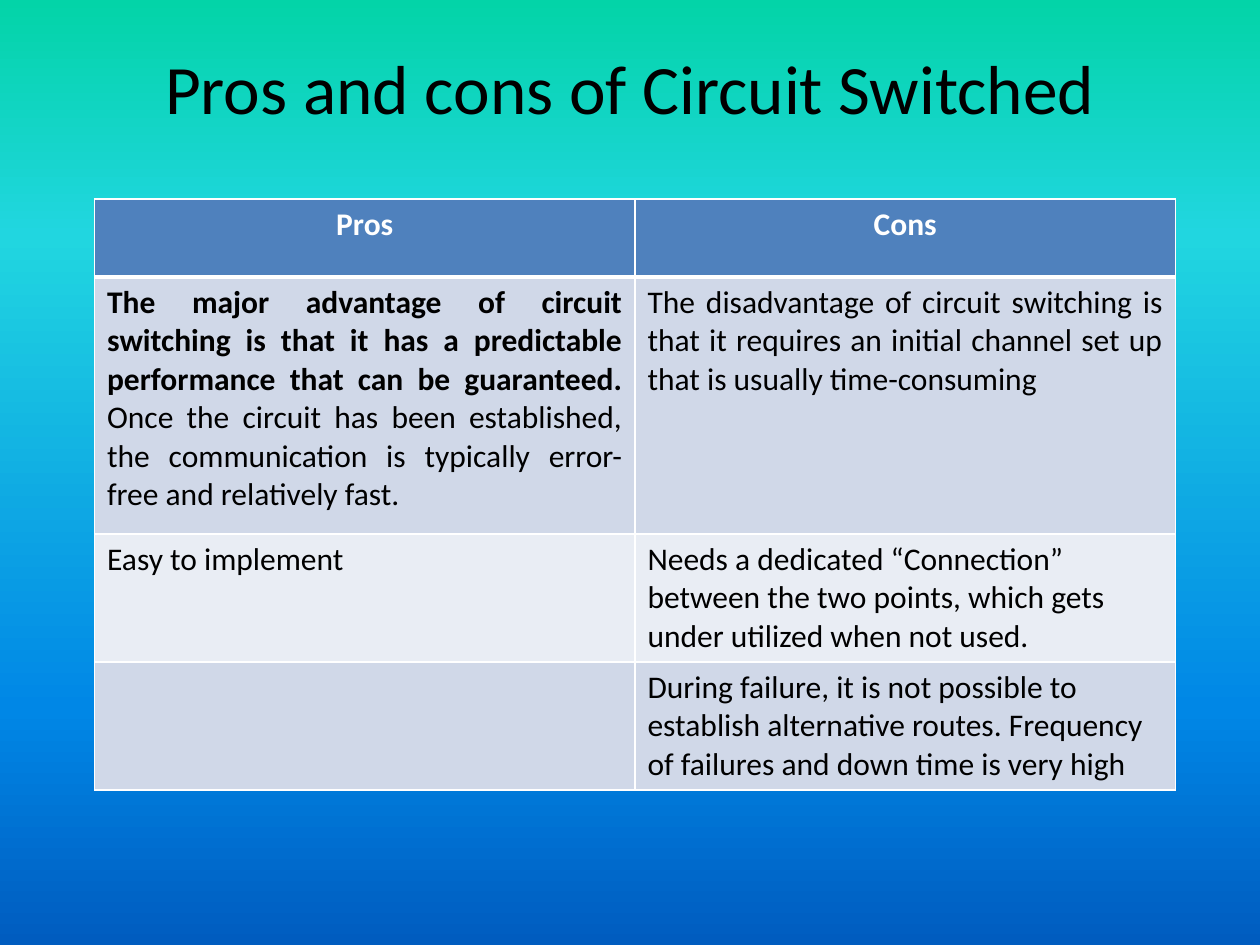
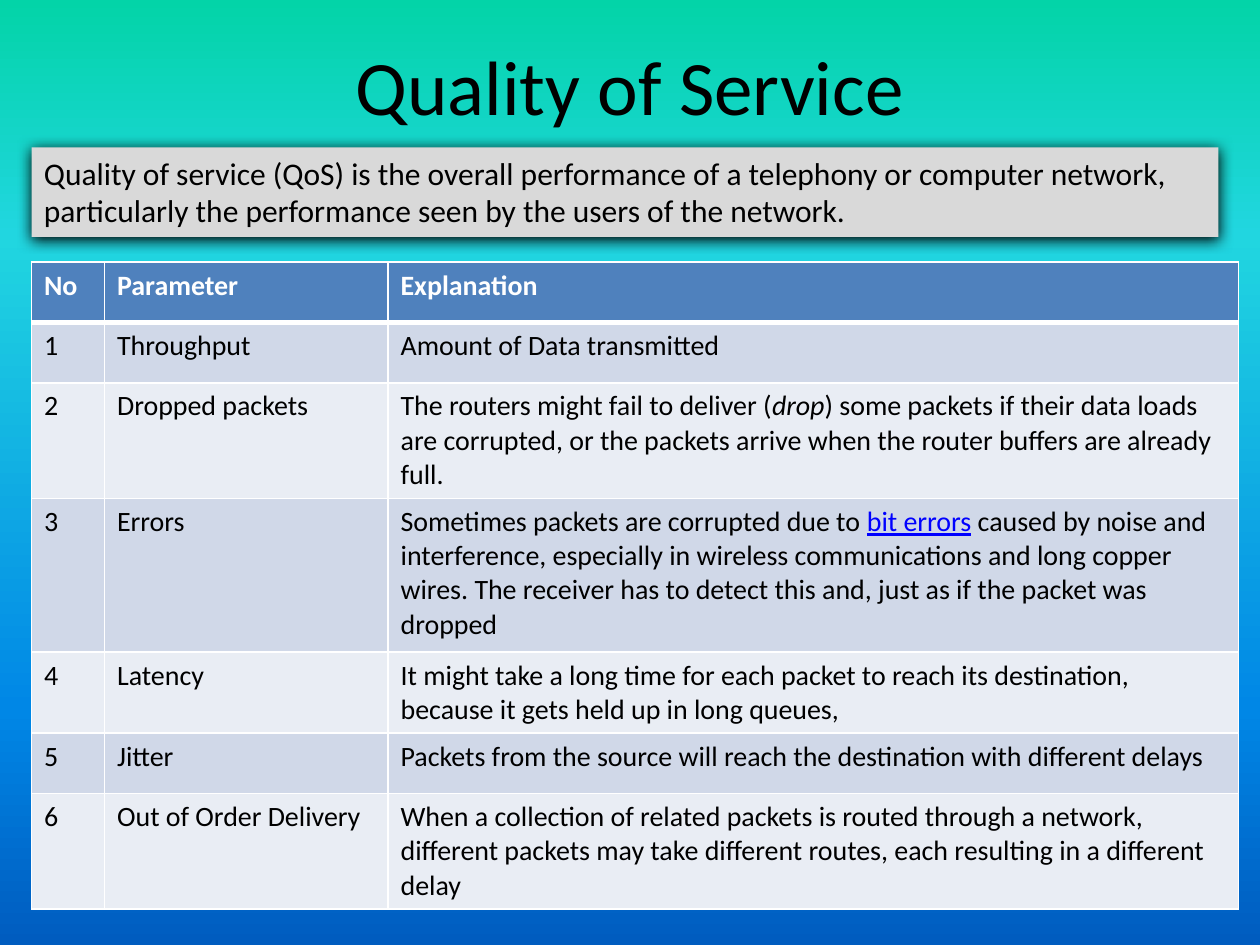
from dataclasses import dataclass

from lxml import etree
from pptx import Presentation
from pptx.dml.color import RGBColor
from pptx.enum import shapes, text
from pptx.oxml import parse_xml
from pptx.oxml.ns import qn
from pptx.util import Inches, Pt

DRAWING = "http://schemas.openxmlformats.org/drawingml/2006/main"


@dataclass(frozen=True)
class Theme:
    font: str = "Calibri"
    ink: str = "000000"
    white: str = "FFFFFF"
    header: str = "4F81BD"
    bands: tuple = ("D0D8E8", "E9EDF4")
    panel: str = "D9D9D9"
    link: str = "0000FF"
    gradient: tuple = ((0, "03D4A8"), (25, "21D6E0"), (75, "0087E6"), (100, "005CBF"))
    body_size: float = 18
    small_size: float = 16
    grid_line: float = 1
    header_line: float = 3


THEME = Theme()


def write_runs(paragraph, content, size, color=THEME.ink, bold=None):
    """Add a string, or a list of (text, style) runs, to the paragraph."""
    runs = [(content, "")] if isinstance(content, str) else content
    for words, style in runs:
        run = paragraph.add_run()
        run.text = words
        run.font.name = THEME.font
        run.font.size = Pt(size)
        run.font.bold = bold if bold is not None else style == "bold"
        run.font.italic = style == "italic"
        run.font.underline = style == "link"
        run.font.color.rgb = RGBColor.from_string(THEME.link if style == "link" else color)


def set_borders(cell, top, bottom):
    """Draw white lines round the cell; top and bottom are widths in points."""
    widths = {"lnL": THEME.grid_line, "lnR": THEME.grid_line, "lnT": top, "lnB": bottom}
    properties = cell._tc.get_or_add_tcPr()
    for position, (side, width) in enumerate(widths.items()):
        line = parse_xml(
            f'<a:{side} xmlns:a="{DRAWING}" w="{Pt(width)}"><a:solidFill>'
            f'<a:srgbClr val="{THEME.white}"/></a:solidFill></a:{side}>')
        properties.insert(position, line)


SLIDES = [
    {
        "title": "Pros and cons of Circuit Switched",
        "title_box": (0.5, 0.3, 9, 0.78),
        "title_size": 39.6,
        "table_at": (0.75, 1.58),
        "columns": (4.29, 4.29),
        "row_heights": (0.62, 2.04, 1.01, 1.01),
        "size": THEME.body_size,
        "row_alignments": {0: text.PP_ALIGN.CENTER, 1: text.PP_ALIGN.JUSTIFY},
        "rows": [
            ("Pros", "Cons"),
            ([("The major advantage of circuit switching is that it has a predictable "
               "performance that can be guaranteed. ", "bold"),
              ("Once the circuit has been established, the communication is typically "
               "error-free and relatively fast.", "")],
             "The disadvantage of circuit switching is that it requires an initial "
             "channel set up that is usually time-consuming"),
            ("Easy to implement",
             "Needs a dedicated “Connection” between the two points, which gets under "
             "utilized when not used."),
            ("",
             "During failure, it is not possible to establish alternative routes. "
             "Frequency of failures and down time is very high"),
        ],
    },
    {
        "title": "Quality of Service",
        "title_box": (0.5, 0.17, 9, 1),
        "title_size": 44,
        "table_at": (0.25, 2.08),
        "columns": (0.58, 2.25, 6.75),
        "row_heights": (0.48, 0.48, 0.91, 1.22, 0.64, 0.48, 0.91),
        "size": THEME.small_size,
        "row_alignments": {},
        "rows": [
            ("No", "Parameter", "Explanation"),
            ("1", "Throughput", "Amount of Data transmitted"),
            ("2", "Dropped packets",
             [("The routers might fail to deliver (", ""), ("drop", "italic"),
              (") some packets if their data loads are corrupted, or the packets arrive "
               "when the router buffers are already full.", "")]),
            ("3", "Errors",
             [("Sometimes packets are corrupted due to ", ""), ("bit errors", "link"),
              (" caused by noise and interference, especially in wireless communications "
               "and long copper wires. The receiver has to detect this and, just as if "
               "the packet was dropped", "")]),
            ("4", "Latency",
             "It might take a long time for each packet to reach its destination, "
             "because it gets held up in long queues,"),
            ("5", "Jitter",
             "Packets from the source will reach the destination with different delays"),
            ("6", "Out of Order Delivery",
             "When a collection of related packets is routed through a network, different "
             "packets may take different routes, each resulting in a different delay"),
        ],
    },
]

presentation = Presentation()
presentation.slide_width, presentation.slide_height = Inches(10), Inches(7.5)

# Background gradient, shared through the slide master
master = presentation.slide_master
master.background.fill.gradient()
gradient = master.element.find(f".//{qn('p:bgPr')}/{qn('a:gradFill')}")
stops = gradient.find(qn("a:gsLst"))
for stop in list(stops):
    stops.remove(stop)
for percent, color in THEME.gradient:
    stop = etree.SubElement(stops, qn("a:gs"), pos=str(percent * 1000))
    etree.SubElement(stop, qn("a:srgbClr"), val=color)
direction = gradient.find(qn("a:lin"))
direction.set("ang", "5400000")
direction.set("scaled", "0")

# Titles and tables
for content in SLIDES:
    slide = presentation.slides.add_slide(presentation.slide_layouts[5])
    title = slide.shapes.title
    title.left, title.top, title.width, title.height = map(Inches, content["title_box"])
    title.text_frame.vertical_anchor = text.MSO_ANCHOR.MIDDLE
    paragraph = title.text_frame.paragraphs[0]
    paragraph.alignment = text.PP_ALIGN.CENTER
    write_runs(paragraph, content["title"], content["title_size"])

    rows, columns, heights = content["rows"], content["columns"], content["row_heights"]
    left, top = map(Inches, content["table_at"])
    table = slide.shapes.add_table(
        len(rows), len(columns), left, top, Inches(sum(columns)), Inches(sum(heights))).table
    for column, width in zip(table.columns, columns):
        column.width = Inches(width)
    for row_index, values in enumerate(rows):
        table.rows[row_index].height = Inches(heights[row_index])
        is_header = row_index == 0
        fill = THEME.header if is_header else THEME.bands[(row_index - 1) % 2]
        for column_index, value in enumerate(values):
            cell = table.cell(row_index, column_index)
            cell.fill.solid()
            cell.fill.fore_color.rgb = RGBColor.from_string(fill)
            set_borders(cell,
                        top=THEME.header_line if row_index == 1 else THEME.grid_line,
                        bottom=THEME.header_line if is_header else THEME.grid_line)
            if value:
                paragraph = cell.text_frame.paragraphs[0]
                paragraph.alignment = content["row_alignments"].get(row_index)
                write_runs(paragraph, value, content["size"],
                           THEME.white if is_header else THEME.ink,
                           True if is_header else None)

# Definition panel on the Quality of Service slide
panel = slide.shapes.add_shape(
    shapes.MSO_SHAPE.RECTANGLE, Inches(0.25), Inches(1.17), Inches(9.42), Inches(0.71))
panel.fill.solid()
panel.fill.fore_color.rgb = RGBColor.from_string(THEME.panel)
panel.line.fill.background()
panel.shadow.inherit = False
effects = panel._element.spPr.find(qn("a:effectLst"))
shadow = etree.SubElement(effects, qn("a:outerShdw"), blurRad=str(Pt(8.5)),
                          dist=str(Pt(1)), dir="5400000", algn="t", rotWithShape="0")
etree.SubElement(shadow, qn("a:srgbClr"), val=THEME.ink)
frame = panel.text_frame
frame.word_wrap = True
frame.auto_size = text.MSO_AUTO_SIZE.SHAPE_TO_FIT_TEXT
frame.vertical_anchor = text.MSO_ANCHOR.TOP
paragraph = frame.paragraphs[0]
paragraph.alignment = text.PP_ALIGN.LEFT
write_runs(paragraph,
           "Quality of service (QoS) is the overall performance of a telephony or computer "
           "network, particularly the performance seen by the users of the network.",
           THEME.body_size)

presentation.save("out.pptx")
